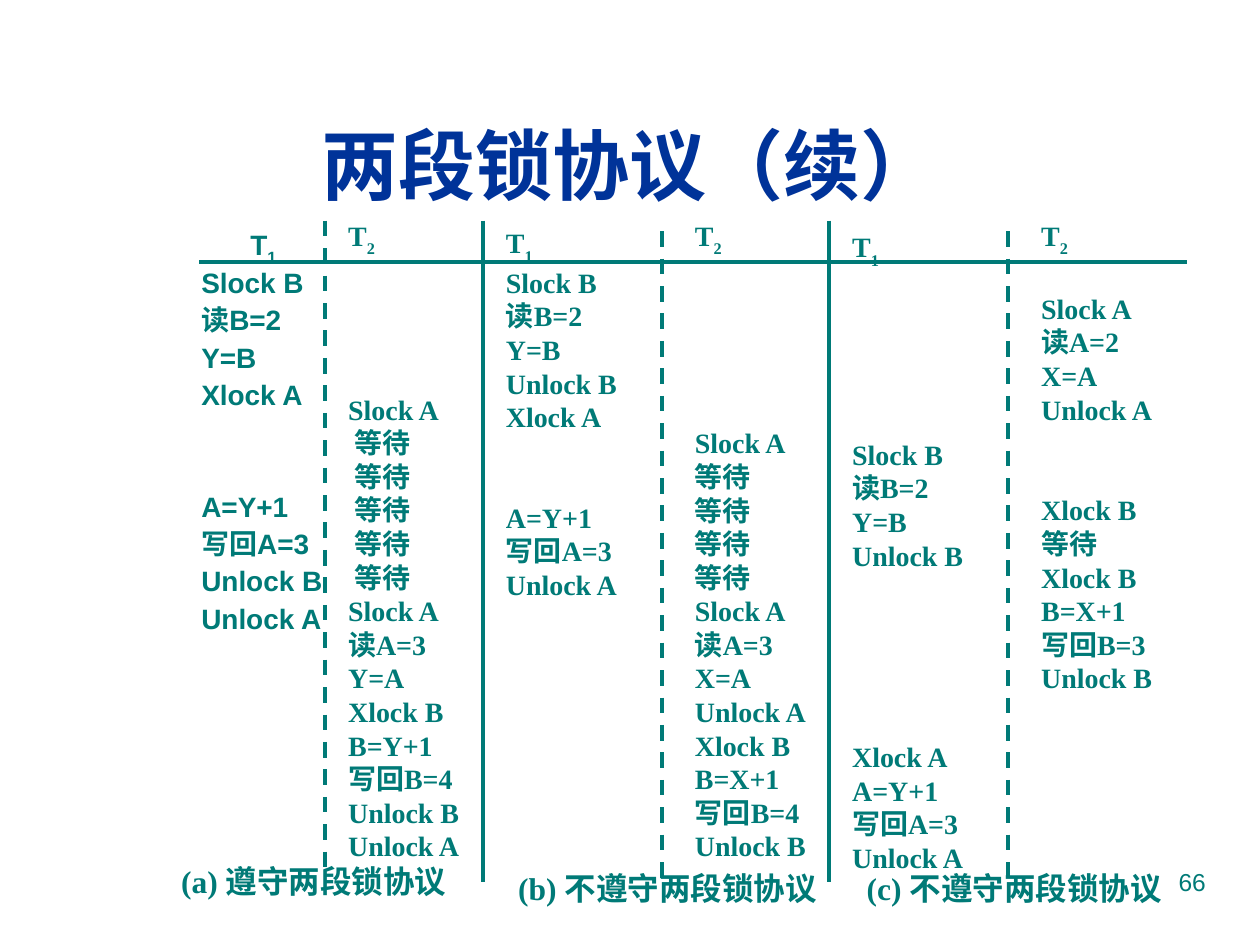
"""Build the slide that compares three schedules under two-phase locking."""
from dataclasses import dataclass

from pptx import Presentation
from pptx.dml.color import RGBColor
from pptx.enum.dml import MSO_LINE
from pptx.enum.shapes import MSO_CONNECTOR
from pptx.enum.text import MSO_ANCHOR, PP_ALIGN
from pptx.oxml.ns import qn
from pptx.slide import Slide
from pptx.text.text import TextFrame, _Paragraph
from pptx.util import Cm, Pt

TEAL = RGBColor(0x00, 0x7A, 0x77)
NAVY = RGBColor(0x00, 0x33, 0x99)
SANS, SERIF = "Arial", "Times New Roman"
LEFT, MID, RIGHT = PP_ALIGN.LEFT, PP_ALIGN.CENTER, PP_ALIGN.RIGHT
TOP, CENTRE = MSO_ANCHOR.TOP, MSO_ANCHOR.MIDDLE
DASH, SOLID = MSO_LINE.DASH, MSO_LINE.SOLID
STRAIGHT = MSO_CONNECTOR.STRAIGHT
HEAD = 22.8


@dataclass
class Step:
    text: str
    skip: int = 0
    indent: float = 0


@dataclass
class Column:
    index: str
    left: float
    top: float
    steps: list[Step]
    width: float = 4.02
    font: str = SERIF
    align: PP_ALIGN = LEFT
    pitch: float = 19.2
    gap: float = 0
    lead: float = 0


@dataclass
class Rule:
    x1: float
    y1: float
    x2: float
    y2: float
    style: MSO_LINE = SOLID


@dataclass
class Label:
    text: str
    left: float
    top: float


def steps(*items: str | Step) -> list[Step]:
    return [Step(item) if isinstance(item, str) else item for item in items]


WAIT = Step("等待", indent=0.12)
COLUMNS = [
    Column("1", 3.81, 4.45, steps(
        "Slock B", "读B=2", "Y=B", "Xlock A", Step("A=Y+1", 2),
        "写回A=3", "Unlock B", "Unlock A"),
        width=3, font=SANS, align=MID, pitch=17.3, gap=4, lead=1.3),
    Column("2", 6.77, 4.27, steps(
        Step("Slock A", 4), *[WAIT] * 5, "Slock A", "读A=3", "Y=A",
        "Xlock B", "B=Y+1", "写回B=4", "Unlock B", "Unlock A")),
    Column("1", 9.95, 4.42, steps(
        "Slock B", "读B=2", "Y=B", "Unlock B", "Xlock A",
        Step("A=Y+1", 2), "写回A=3", "Unlock A")),
    Column("2", 13.76, 4.27, steps(
        Step("Slock A", 5), *["等待"] * 4, "Slock A", "读A=3", "X=A",
        "Unlock A", "Xlock B", "B=X+1", "写回B=4", "Unlock B")),
    Column("1", 16.93, 4.5, steps(
        Step("Slock B", 5), "读B=2", "Y=B", "Unlock B",
        Step("Xlock A", 5), "A=Y+1", "写回A=3", "Unlock A")),
    Column("2", 20.74, 4.27, steps(
        Step("Slock A", 1), "读A=2", "X=A", "Unlock A",
        Step("Xlock B", 2), "等待", "Xlock B", "B=X+1", "写回B=3",
        "Unlock B")),
]
RULES = [
    Rule(4.02, 5.29, 23.92, 5.29),
    Rule(6.56, 4.45, 6.56, 17.57, DASH),
    Rule(9.74, 4.45, 9.74, 17.78),
    Rule(13.34, 4.66, 13.34, 17.78, DASH),
    Rule(16.72, 4.45, 16.72, 17.78),
    Rule(20.32, 4.66, 20.32, 17.78, DASH),
]
LABELS = [
    Label("(a) 遵守两段锁协议", 2.65, 17.22),
    Label("(b) 不遵守两段锁协议", 9.78, 17.36),
    Label("(c) 不遵守两段锁协议", 16.77, 17.36),
]


def write(para: _Paragraph, text: str, *, size: float = 16,
          font: str = SERIF, color: RGBColor = TEAL, bold: bool = True,
          align: PP_ALIGN = LEFT, sub: bool = False) -> None:
    para.alignment = align
    run = para.add_run()
    run.text = text
    run.font.size = Pt(size)
    run.font.name = font
    run.font.bold = bold
    run.font.color.rgb = color
    if sub:
        run._r.get_or_add_rPr().set("baseline", "-30000")


def add_box(slide: Slide, left: float, top: float, width: float,
            height: float, anchor: MSO_ANCHOR = TOP) -> TextFrame:
    box = slide.shapes.add_textbox(Cm(left), Cm(top), Cm(width), Cm(height))
    frame = box.text_frame
    frame.word_wrap = True
    frame.vertical_anchor = anchor
    return frame


def draw_column(slide: Slide, col: Column) -> None:
    frame = add_box(slide, col.left, col.top, col.width, 13.2)
    head = frame.paragraphs[0]
    head.line_spacing = Pt(HEAD)
    write(head, "T", font=col.font, align=col.align)
    write(head, col.index, font=col.font, align=col.align, sub=True)
    for i, step in enumerate(col.steps):
        para = frame.add_paragraph()
        para.line_spacing = Pt(col.pitch)
        base = col.gap if i else col.lead
        para.space_before = Pt(base + step.skip * (col.pitch + col.gap))
        if step.indent:
            para._p.get_or_add_pPr().set("marL", str(Cm(step.indent)))
        write(para, step.text, font=col.font)


def draw_rule(slide: Slide, rule: Rule) -> None:
    line = slide.shapes.add_connector(
        STRAIGHT, Cm(rule.x1), Cm(rule.y1), Cm(rule.x2), Cm(rule.y2))
    line.line.color.rgb = TEAL
    line.line.width = Pt(2.25)
    line.line.dash_style = rule.style
    props = line._element.spPr
    props.append(props.makeelement(qn("a:effectLst"), {}))


def draw_label(slide: Slide, label: Label) -> None:
    frame = add_box(slide, label.left, label.top, 7.35, 1.07, CENTRE)
    write(frame.paragraphs[0], label.text, size=18, align=MID)


def main() -> None:
    deck = Presentation()
    deck.slide_width, deck.slide_height = Cm(25.4), Cm(19.05)
    slide = deck.slides.add_slide(deck.slide_layouts[5])
    title = slide.shapes.title
    title.left, title.top = Cm(0.84), Cm(1.7)
    title.width, title.height = Cm(23.72), Cm(3.18)
    title.text_frame.vertical_anchor = CENTRE
    write(title.text_frame.paragraphs[0], "两段锁协议（续）", size=44,
          font=SANS, color=NAVY, align=MID)
    for col in COLUMNS:
        draw_column(slide, col)
    for rule in RULES:
        draw_rule(slide, rule)
    for label in LABELS:
        draw_label(slide, label)
    number = add_box(slide, 18.21, 17.35, 6.35, 1.32)
    write(number.paragraphs[0], "66", size=14, font=SANS, bold=False,
          align=RIGHT)
    deck.save("out.pptx")


if __name__ == "__main__":
    main()
